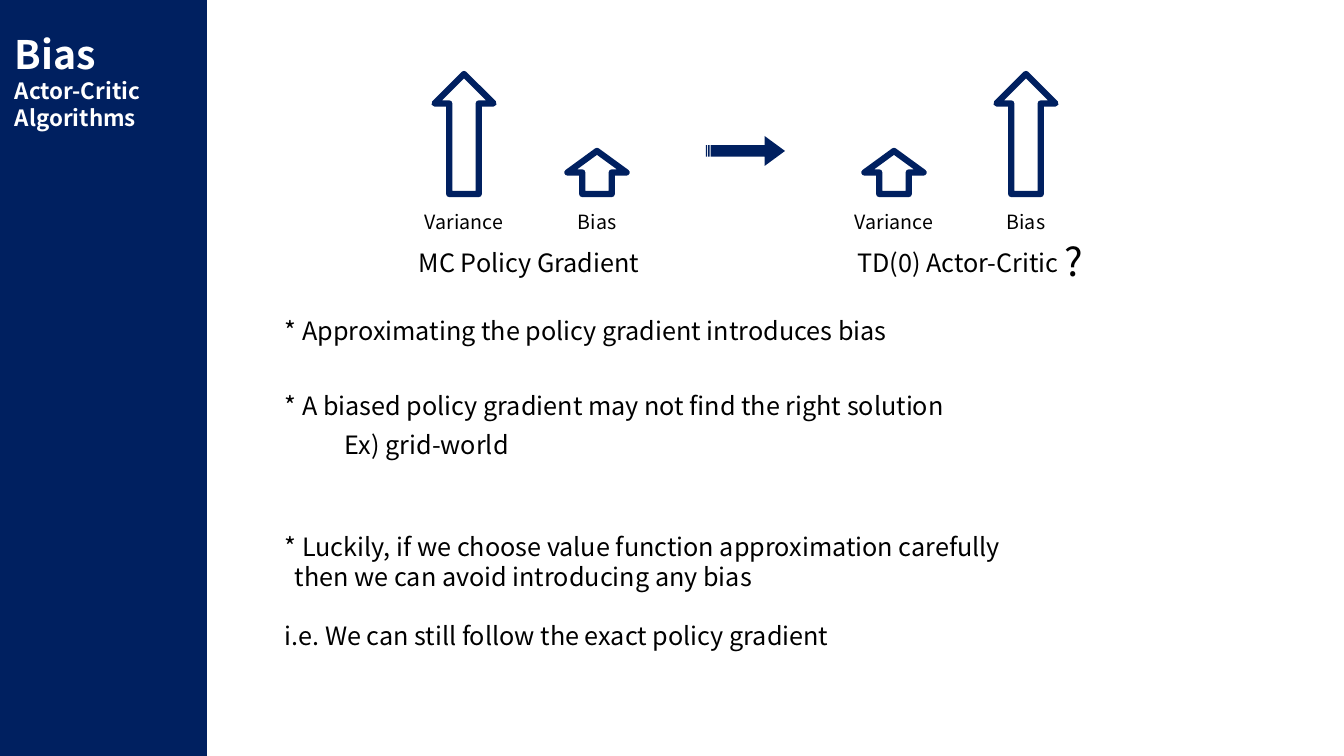
from pptx import Presentation
from pptx import util as u
from pptx.dml.color import RGBColor
from pptx.enum import shapes, text

PX = 12192000 / 1344
FONT = "Noto Sans CJK KR"
NAVY, WHITE, BLACK = "002060", "FFFFFF", "000000"

presentation = Presentation()
presentation.slide_width = u.Emu(12192000)
presentation.slide_height = u.Emu(6858000)
slide = presentation.slides.add_slide(presentation.slide_layouts[6])


def add_preset(preset, *box, fill=None, line=None):
    """Add a preset shape; box is left, top, width, height in px."""
    shape = slide.shapes.add_shape(preset, *[round(length * PX) for length in box])
    shape.shadow.inherit = False
    for part, color in ((shape.fill, fill), (shape.line.fill, line)):
        if color:
            part.solid()
            part.fore_color.rgb = RGBColor.from_string(color)
        else:
            part.background()
    return shape


def add_text(content, *box, sizes=(18,), color=BLACK, bold=False, centred=False, indents=()):
    """Add a text box; sizes are given per line, the last one repeating."""
    shape = slide.shapes.add_textbox(*[round(length * PX) for length in box])
    frame = shape.text_frame
    frame.word_wrap = True
    frame.text = content
    for index, paragraph in enumerate(frame.paragraphs):
        if index < len(indents):
            paragraph._p.get_or_add_pPr().set("marL", str(round(indents[index] * PX)))
        paragraph.alignment = text.PP_ALIGN.CENTER if centred else text.PP_ALIGN.LEFT
        for run in paragraph.runs:
            font = run.font
            font.name = FONT
            font.size = u.Pt(sizes[min(index, len(sizes) - 1)])
            font.bold = bold
            font.color.rgb = RGBColor.from_string(color)
            run._r.get_or_add_rPr().set("lang", "en-US")


# Sidebar
add_preset(shapes.MSO_SHAPE.RECTANGLE, 0, 0, 207, 756, fill=NAVY)
add_text("Bias\nActor-Critic\nAlgorithms", 5, 25, 196, 159,
         sizes=(28, 16), color=WHITE, bold=True)

# Variance and bias of the two methods
BASELINE, ARROW_WIDTH, TALL, SHORT = 194, 59, 120, 43
methods = [
    ("MC Policy Gradient", 529, [("Variance", 464, TALL), ("Bias", 597, SHORT)]),
    ("TD(0) Actor-Critic", 958, [("Variance", 894, SHORT), ("Bias", 1026, TALL)]),
]
for method, method_center, measures in methods:
    for measure, center, height in measures:
        arrow = add_preset(shapes.MSO_SHAPE.UP_ARROW, center - ARROW_WIDTH / 2,
                           BASELINE - height, ARROW_WIDTH, height, line=NAVY)
        arrow.line.width = u.Pt(4.5)
        add_text(measure, center - 52, 205, 104, 34, sizes=(14,), centred=True)
    add_text(method, method_center - 130, 242, 260, 40, centred=True)

transition = add_preset(shapes.MSO_SHAPE.STRIPED_RIGHT_ARROW, 706, 136, 79, 30, fill=NAVY)
transition.adjustments[0] = 0.38
transition.adjustments[1] = 0.68

# Statements
LEFT = 275
add_text("* Approximating the policy gradient introduces bias", LEFT, 310, 787, 40)
add_text("* A biased policy gradient may not find the right solution", LEFT, 385, 787, 40)
add_text("Ex) grid-world", 335, 424, 221, 40)
add_text("* Luckily, if we choose value function approximation carefully\n"
         "then we can avoid introducing any bias", LEFT, 526, 1038, 72, indents=(0, 10))
add_text("i.e. We can still follow the exact policy gradient", LEFT, 615, 1038, 40)
add_text("?", 1055, 232, 50, 57, sizes=(28,))

presentation.save("out.pptx")
